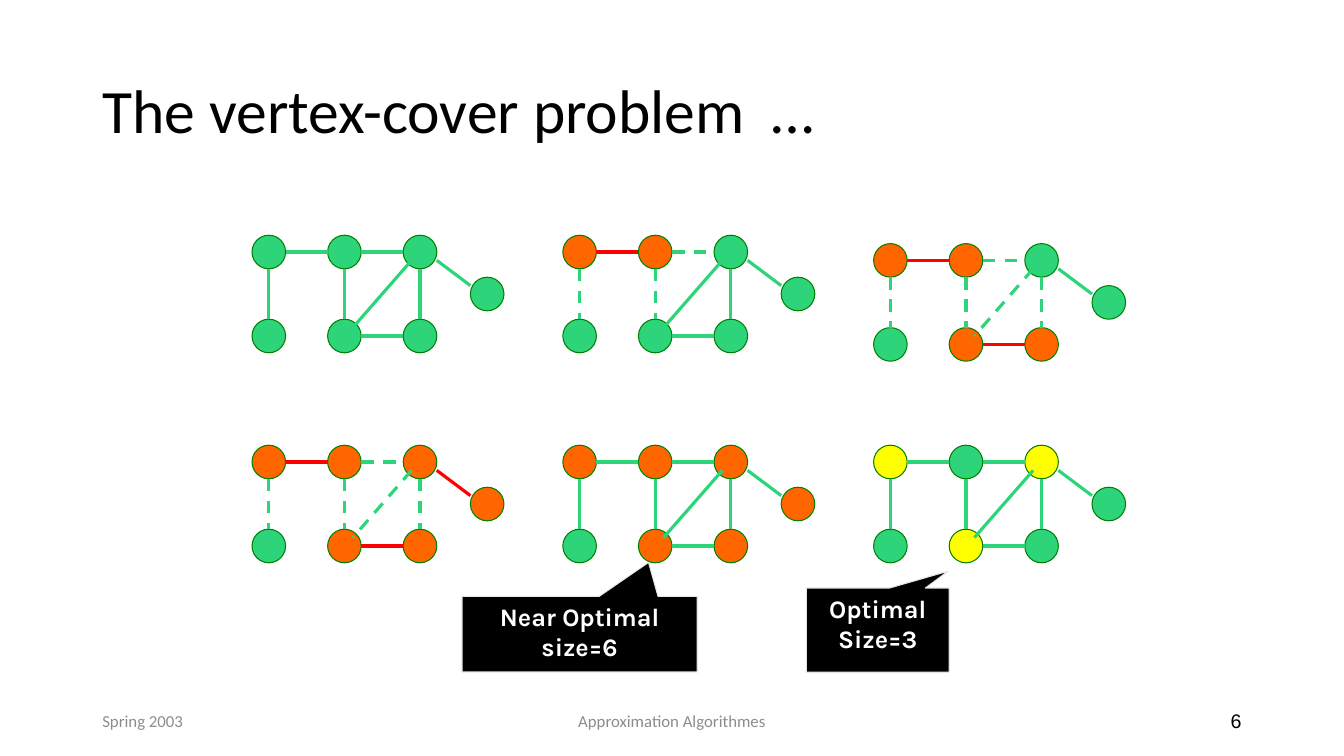
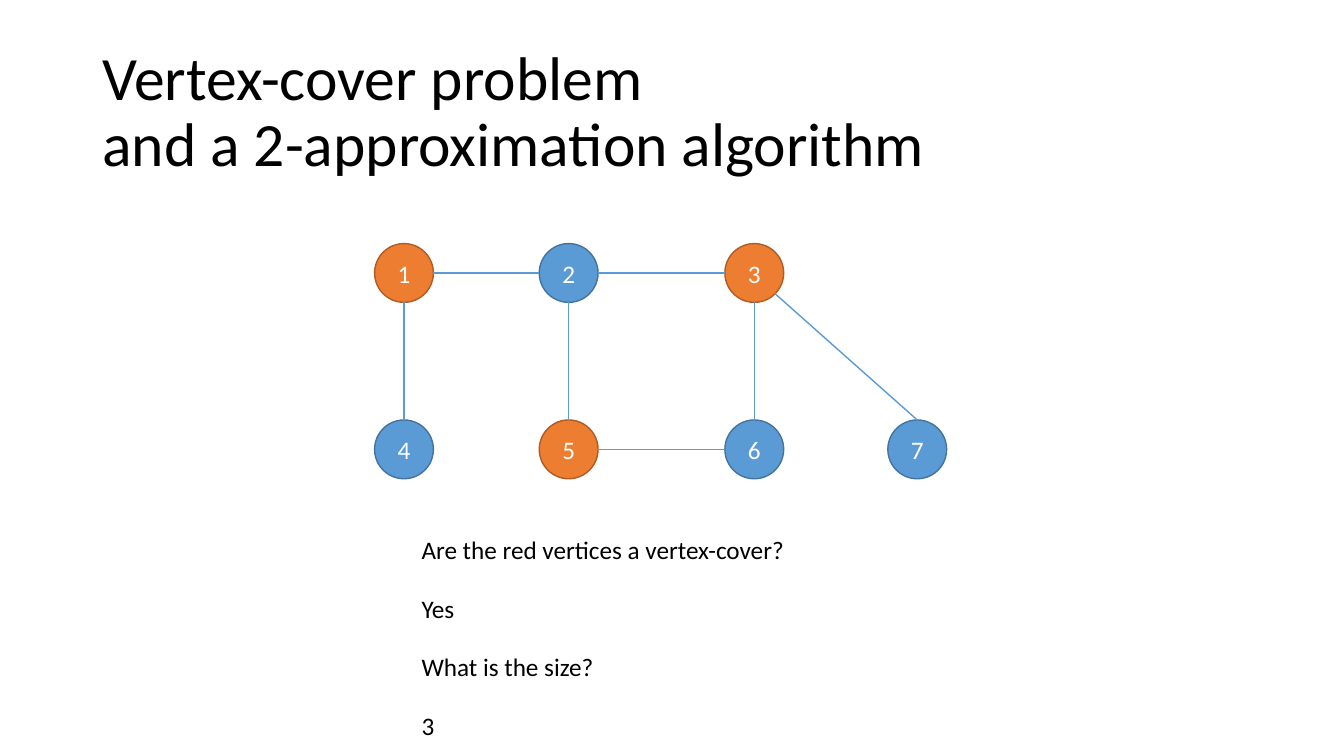
import pptx
import pptx.dml.color
import pptx.enum.dml
import pptx.enum.shapes
import pptx.enum.text
import pptx.oxml.ns
import pptx.util
from lxml import etree

PX = 7620
COLOURS = {
    "black": "000000", "white": "FFFFFF", "grey": "8C8C8C", "pale": "E7E6E6",
    "green": "2ED479", "dark green": "008000", "orange": "FF6600",
    "yellow": "FFFF00", "red": "FF0000", "blue": "5B9BD5",
    "dark blue": "43739E", "rust": "ED7D31", "dark rust": "AF5C24",
}
SHAPES = pptx.enum.shapes.MSO_SHAPE
ALIGN = pptx.enum.text.PP_ALIGN
ANCHOR = pptx.enum.text.MSO_ANCHOR

STYLES = {
    "title": {"size": 44, "name": "Calibri", "colour": "black"},
    "footer": {"size": 12, "name": "Calibri", "colour": "grey"},
    "number": {"size": 14, "name": "Arial", "colour": "black"},
    "callout": {"size": 18, "name": "Karla", "bold": True, "colour": "white"},
    "vertex": {"size": 18, "name": "Calibri", "colour": "white"},
    "body": {"size": 18, "name": "Calibri", "colour": "black"},
}
SITES = {
    "top": (0, 0.5, 0), "left": (2, 0, 0.5), "bottom": (4, 0.5, 1),
    "corner": (5, 0.85, 0.85), "right": (6, 1, 0.5),
}

NODE = 40
GRAPH_NODES = [(0, 0), (90, 0), (180, 0), (260, 50), (0, 100), (90, 100), (180, 100)]
GRAPH_LINKS = [
    (0, "right", 1, "left"), (1, "right", 2, "left"), (5, "right", 6, "left"),
    (0, "bottom", 4, "top"), (1, "bottom", 5, "top"), (2, "bottom", 6, "top"),
]
GRAPH_SLANTS = [((190, 30), (120, 110)), ((220, 30), (260, 60))]
NODE_FILLS = {"G": "green", "O": "orange", "Y": "yellow"}
EDGE_LOOKS = {"g": ("green", False), "d": ("green", True), "r": ("red", False)}
GRAPHS = [
    ((300, 280), "GGGGGGG", "gggggggg"),
    ((670, 280), "OOGGGGG", "rdgddggg"),
    ((1040, 290), "OOGGGOO", "rdrddddg"),
    ((300, 530), "OOOOGOO", "rdrddddr"),
    ((670, 530), "OOOOGOO", "gggggggg"),
    ((1040, 530), "YGYGGYG", "gggggggg"),
]
CALLOUTS = [
    ((550, 710, 280, 90), (0.293, -0.949), ["Near Optimal", "size=6"]),
    ((960, 700, 170, 100), (0.493, -0.7), ["Optimal", "Size=3"]),
]

VERTEX = 70
VERTEX_PLACES = {
    "1": (0, 0), "2": (196, 0), "3": (417, 0),
    "4": (0, 210), "5": (196, 210), "6": (417, 210), "7": (611, 210),
}
COVER = "135"
COVER_LINKS = [
    ("1", "bottom", "4", "top"), ("1", "right", "2", "left"),
    ("2", "right", "3", "left"), ("2", "bottom", "5", "top"),
    ("3", "corner", "7", "top"), ("3", "bottom", "6", "top"),
    ("5", "right", "6", "left"),
]
QUESTIONS = [
    ("Are the red vertices a vertex-cover?", 500), ("Yes", 500),
    ("What is the size?", 690), ("3", 80),
]


def rgb(colour):
    return pptx.dml.color.RGBColor.from_string(COLOURS[colour])


def emu(*lengths):
    return [pptx.util.Emu(length * PX) for length in lengths]


def format_para(para, style, align=ALIGN.LEFT, spacing=None):
    para.alignment = align
    para.line_spacing = spacing
    for key, value in STYLES[style].items():
        if key == "colour":
            para.font.color.rgb = rgb(value)
        else:
            setattr(para.font, key, pptx.util.Pt(value) if key == "size" else value)


def write(shape, lines, style, align=ALIGN.LEFT, anchor=ANCHOR.TOP, spacing=None):
    frame = shape.text_frame
    frame.word_wrap = True
    frame.vertical_anchor = anchor
    for index, line in enumerate(lines):
        para = frame.add_paragraph() if index else frame.paragraphs[0]
        para.text = line
        format_para(para, style, align, spacing)


def add_title(page, text):
    title = page.shapes.title
    for side, value in zip(("left", "top", "width", "height"), emu(110, 48, 1380, 174)):
        setattr(title, side, value)
    write(title, [text], "title", anchor=ANCHOR.MIDDLE, spacing=0.9)


def add_text(page, box, text, style, align=ALIGN.LEFT, anchor=ANCHOR.TOP):
    write(page.shapes.add_textbox(*emu(*box)), [text], style, align, anchor)


def add_figure(shapes, kind, box, fill, line, weight):
    figure = shapes.add_shape(kind, *emu(*box))
    figure.shadow.inherit = False
    figure.fill.solid()
    figure.fill.fore_color.rgb = rgb(fill)
    figure.line.color.rgb = rgb(line)
    figure.line.width = pptx.util.Pt(weight)
    return figure


def add_edge(shapes, start, end, colour, weight, dashed=False):
    edge = shapes.add_connector(pptx.enum.shapes.MSO_CONNECTOR.STRAIGHT, *start, *end)
    edge.line.color.rgb = rgb(colour)
    edge.line.width = pptx.util.Pt(weight)
    if dashed:
        edge.line.dash_style = pptx.enum.dml.MSO_LINE.DASH
    etree.SubElement(edge._element.spPr, pptx.oxml.ns.qn("a:effectLst"))
    return edge


def site_point(node, side):
    _, across, down = SITES[side]
    return int(node.left + node.width * across), int(node.top + node.height * down)


def add_link(shapes, nodes, link, *look):
    first, first_side, second, second_side = link
    ends = [("a:stCxn", nodes[first], first_side), ("a:endCxn", nodes[second], second_side)]
    start, end = [site_point(node, side) for _, node, side in ends]
    edge = add_edge(shapes, start, end, *look)
    joints = edge._element.nvCxnSpPr.cNvCxnSpPr
    for tag, node, side in ends:
        etree.SubElement(joints, pptx.oxml.ns.qn(tag),
                         id=str(node.shape_id), idx=str(SITES[side][0]))


def add_graph(page, origin, fills, edges):
    left, top = origin
    shapes = page.shapes.add_group_shape().shapes
    nodes = [
        add_figure(shapes, SHAPES.FLOWCHART_CONNECTOR, (left + x, top + y, NODE, NODE),
                   NODE_FILLS[fill], "dark green", 0.75)
        for (x, y), fill in zip(GRAPH_NODES, fills)
    ]
    looks = [EDGE_LOOKS[edge] for edge in edges]
    for link, (colour, dashed) in zip(GRAPH_LINKS, looks):
        add_link(shapes, nodes, link, colour, 2.25, dashed)
    for slant, (colour, dashed) in zip(GRAPH_SLANTS, looks[len(GRAPH_LINKS):]):
        start, end = [emu(left + x, top + y) for x, y in slant]
        add_edge(shapes, start, end, colour, 2.25, dashed)


def add_callout(page, box, pointer, lines):
    callout = add_figure(page.shapes, SHAPES.RECTANGULAR_CALLOUT, box, "black", "pale", 0.75)
    for index, value in enumerate(pointer):
        callout.adjustments[index] = value
    write(callout, lines, "callout", ALIGN.CENTER)


def add_footer(page, date, topic, number):
    for left, width, text, style, align in (
        (110, 360, date, "footer", ALIGN.LEFT),
        (530, 540, topic, "footer", ALIGN.CENTER),
        (1130, 360, number, "number", ALIGN.RIGHT),
    ):
        add_text(page, (left, 834, width, 48), text, style, align, ANCHOR.MIDDLE)


def add_cover_graph(page, left, top):
    vertices = {}
    for label, (x, y) in VERTEX_PLACES.items():
        hue = "rust" if label in COVER else "blue"
        vertex = add_figure(page.shapes, SHAPES.OVAL, (left + x, top + y, VERTEX, VERTEX),
                            hue, "dark " + hue, 1)
        write(vertex, [label], "vertex", ALIGN.CENTER, ANCHOR.MIDDLE)
        vertices[label] = vertex
    for link in COVER_LINKS:
        add_link(page.shapes, vertices, link, "blue", 1)


def add_questions(page, left, top):
    for row, (text, width) in enumerate(QUESTIONS):
        add_text(page, (left, top + 70 * row, width, 48), text, "body")


def new_page(deck, title):
    page = deck.slides.add_slide(deck.slide_layouts[5])
    add_title(page, title)
    return page


def build_steps_page(deck):
    page = new_page(deck, "The vertex-cover problem\t …")
    for graph in GRAPHS:
        add_graph(page, *graph)
    for callout in CALLOUTS:
        add_callout(page, *callout)
    add_footer(page, "Spring 2003", "Approximation Algorithmes", "6")


def build_cover_page(deck):
    page = new_page(deck, "Vertex-cover problem\vand a 2-approximation algorithm")
    add_cover_graph(page, 446, 290)
    add_questions(page, 490, 630)


def main():
    deck = pptx.Presentation()
    deck.slide_width, deck.slide_height = emu(1600, 900)
    build_steps_page(deck)
    build_cover_page(deck)
    deck.save("out.pptx")


if __name__ == "__main__":
    main()
